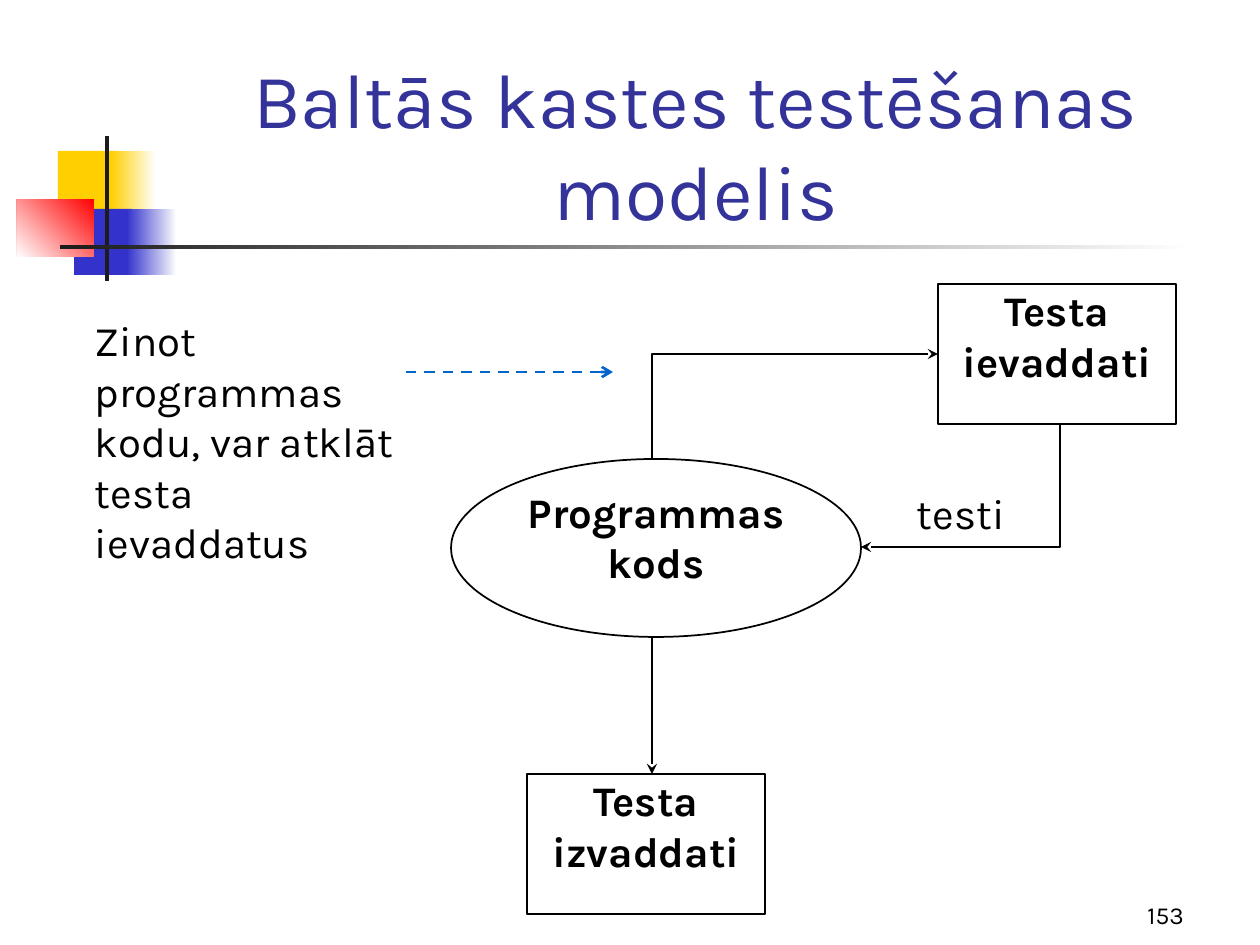
from lxml import etree
from pptx import Presentation
from pptx import util as u
from pptx.dml.color import RGBColor
from pptx.enum import dml, shapes, text
from pptx.oxml.ns import qn

FONT = "Karla"
COLORS = {
    "yellow": "FFCF01", "blue": "3333CC", "red": "FF0000", "white": "FFFFFF",
    "bar": "1C1C1C", "title": "333399", "ink": "000000", "hint": "0066CC",
}


def px(value):
    return u.Emu(round(value * 914400 / 126))


def color(name):
    return RGBColor.from_string(COLORS[name])


def place(box, left, top, width, height):
    return [px(v) for v in (box[0] + left, box[1] + top, width, height)]


def write(frame, words, size, ink="ink", bold=False, align=text.PP_ALIGN.LEFT,
          anchor=text.MSO_ANCHOR.TOP, insets=(1, 1)):
    frame.word_wrap = True
    frame.auto_size = text.MSO_AUTO_SIZE.NONE
    frame.vertical_anchor = anchor
    frame.margin_left = frame.margin_right = px(insets[0])
    frame.margin_top = frame.margin_bottom = px(insets[1])
    paragraph = frame.paragraphs[0]
    paragraph.alignment = align
    run = paragraph.add_run()
    run.text = words
    run.font.name = FONT
    run.font.size = u.Pt(size)
    run.font.bold = bold
    run.font.color.rgb = color(ink)


def draw_line(line, width, ink="ink"):
    line.color.rgb = color(ink)
    line.width = u.Pt(width)


def add_arrowhead(arrow, kind):
    outline = arrow.line._get_or_add_ln()
    etree.SubElement(outline, qn("a:tailEnd"), type=kind)


def add_tile(slide, spot, start, end=None, angle=180):
    tile = slide.shapes.add_shape(shapes.MSO_SHAPE.RECTANGLE, *spot)
    tile.shadow.inherit = False
    tile.line.fill.background()
    if end is None:
        tile.fill.solid()
        tile.fill.fore_color.rgb = color(start)
        return
    tile.fill.gradient()
    tile.fill.gradient_angle = angle
    for stop, name in zip(tile.fill.gradient_stops, (start, end)):
        stop.color.rgb = color(name)


def add_ornament(slide, box):
    for left, top, solid, fade, name in ((41, 15, 60, 45, "yellow"),
                                         (57, 73, 58, 50, "blue")):
        add_tile(slide, place(box, left, top, solid, 66), name)
        add_tile(slide, place(box, left + 53, top, fade, 66), "white", name)
    add_tile(slide, place(box, 0, 63, 77, 58), "red", "white", 225)
    add_tile(slide, place(box, 88, 0, 4, 145), "bar")
    add_tile(slide, place(box, 43, 109, 1134, 4), "white", "bar")


def add_title(slide, box):
    title = slide.shapes.title
    title.left, title.top, title.width, title.height = [px(v) for v in box]
    write(title.text_frame, "Baltās kastes testēšanas modelis", 44, "title",
          align=text.PP_ALIGN.CENTER, anchor=text.MSO_ANCHOR.BOTTOM,
          insets=(13, 6))


def add_node(slide, spot, outline, words, insets=(1, 1)):
    node = slide.shapes.add_shape(outline, *spot)
    node.shadow.inherit = False
    node.fill.background()
    draw_line(node.line, 1)
    write(node.text_frame, words, 24, bold=True, align=text.PP_ALIGN.CENTER,
          insets=insets)


def add_label(slide, spot, words):
    write(slide.shapes.add_textbox(*spot).text_frame, words, 24)


def add_straight_arrow(slide, box, start, end, width, ink, kind, dash=None):
    ends = [px(box[i] + point[i]) for point in (start, end) for i in (0, 1)]
    arrow = slide.shapes.add_connector(shapes.MSO_CONNECTOR.STRAIGHT, *ends)
    etree.SubElement(arrow._element.spPr, qn("a:effectLst"))
    draw_line(arrow.line, width, ink)
    if dash:
        arrow.line.dash_style = dash
    add_arrowhead(arrow, kind)


def add_bent_arrow(slide, box, *points):
    start, *rest = [(px(box[0] + x), px(box[1] + y)) for x, y in points]
    builder = slide.shapes.build_freeform(*start)
    builder.add_line_segments(rest, close=False)
    arrow = builder.convert_to_shape()
    arrow.shadow.inherit = False
    arrow.fill.background()
    draw_line(arrow.line, 0.75)
    add_arrowhead(arrow, "stealth")


def add_model(slide, box):
    rectangle = shapes.MSO_SHAPE.RECTANGLE
    add_node(slide, place(box, 357, 175, 410, 178), shapes.MSO_SHAPE.OVAL,
             "Programmas kods", (3, 1))
    add_node(slide, place(box, 844, 0, 238, 140), rectangle, "Testa ievaddati")
    add_node(slide, place(box, 433, 490, 238, 140), rectangle, "Testa izvaddati")
    add_label(slide, place(box, 0, 30, 324, 291),
              "Zinot programmas kodu, var atklāt testa ievaddatus")
    add_label(slide, place(box, 822, 202, 130, 59), "testi")
    add_straight_arrow(slide, box, (312, 88), (519, 88), 1.5, "hint", "arrow",
                       dml.MSO_LINE.DASH)
    add_straight_arrow(slide, box, (558, 353), (558, 490), 0.75, "ink", "stealth")
    add_bent_arrow(slide, box, (966, 140), (966, 263), (767, 263))
    add_bent_arrow(slide, box, (558, 175), (558, 70), (844, 70))


def add_page_number(slide, box):
    number = slide.shapes.add_textbox(*[px(v) for v in box])
    write(number.text_frame, "153", 14, align=text.PP_ALIGN.RIGHT,
          anchor=text.MSO_ANCHOR.BOTTOM, insets=(13, 6))


def main():
    deck = Presentation()
    deck.slide_width, deck.slide_height = px(1260), px(945)
    slide = deck.slides.add_slide(deck.slide_layouts.get_by_name("Title Only"))
    add_ornament(slide, (17, 136))
    add_title(slide, (159, 84, 1074, 158))
    add_model(slide, (94, 284))
    add_page_number(slide, (935, 872, 262, 63))
    deck.save("out.pptx")


if __name__ == "__main__":
    main()
